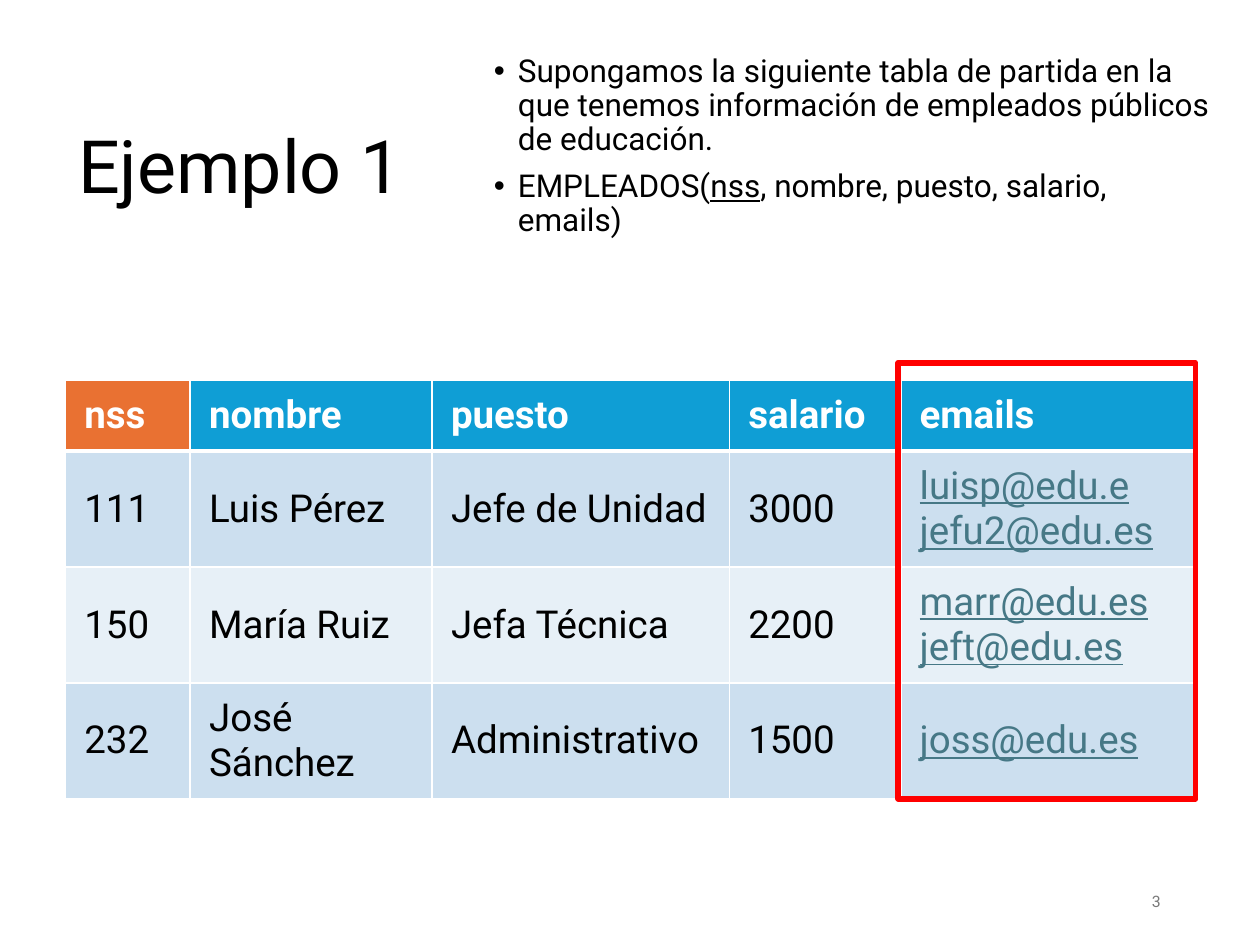
from dataclasses import dataclass

from lxml.etree import SubElement
from pptx import Presentation
from pptx.dml.color import RGBColor
from pptx.enum.shapes import MSO_SHAPE as Shape
from pptx.enum.text import MSO_ANCHOR as Anchor, MSO_AUTO_SIZE as AutoSize, PP_ALIGN as Align
from pptx.oxml.ns import qn
from pptx.util import Inches, Pt

BLACK, WHITE, LINK = "000000", "FFFFFF", "467886"
COLUMN_WIDTHS = (0.99, 1.92, 2.36, 1.36, 2.33)
ROW_HEIGHTS = (0.56, 0.92, 0.92, 0.92)
BAND_FILLS = ("CCDFEF", "E7F0F7")


@dataclass
class Employee:
    nss: str
    name: str
    post: str
    salary: str
    emails: tuple[str, ...]


EMPLOYEES = (
    Employee("111", "Luis Pérez", "Jefe de Unidad", "3000", ("luisp@edu.e", "jefu2@edu.es")),
    Employee("150", "María Ruiz", "Jefa Técnica", "2200", ("marr@edu.es", "jeft@edu.es")),
    Employee("232", "José Sánchez", "Administrativo", "1500", ("joss@edu.es",)),
)


def color(value: str) -> RGBColor:
    """Turn a hex string into a colour."""
    return RGBColor.from_string(value)


def add_text(para, text: str, *, size: float, ink: str = BLACK,
             bold: bool = False, underline: bool = False) -> None:
    """Append a formatted span to a paragraph."""
    span = para.add_run()
    span.text = text
    font = span.font
    font.name, font.size, font.bold, font.underline = "Roboto", Pt(size), bold, underline
    font.color.rgb = color(ink)


def place(box, left: float, top: float, width: float, height: float) -> None:
    """Position a box and centre its text vertically."""
    box.left, box.top = Inches(left), Inches(top)
    box.width, box.height = Inches(width), Inches(height)
    frame = box.text_frame
    frame.word_wrap, frame.auto_size = True, AutoSize.NONE
    frame.vertical_anchor = Anchor.MIDDLE


def add_bullet(para) -> None:
    """Give a paragraph a hanging bullet."""
    props = para._p.get_or_add_pPr()
    props.set("marL", str(Inches(0.19)))
    props.set("indent", str(-Inches(0.19)))
    SubElement(props, qn("a:buFont")).set("typeface", "Arial")
    SubElement(props, qn("a:buChar")).set("char", "•")
    para.line_spacing = 0.9


def fill_cell(cell, lines: tuple[str, ...], fill: str, bottom: float = 1, **style) -> None:
    """Write the lines of a cell and set its borders, margins and fill."""
    cell.margin_left = cell.margin_right = Inches(0.15)
    cell.margin_top = cell.margin_bottom = Inches(0.08)
    cell.vertical_anchor = Anchor.MIDDLE
    frame = cell.text_frame
    for index, line in enumerate(lines):
        para = frame.add_paragraph() if index else frame.paragraphs[0]
        add_text(para, line, size=22, **style)
    props = cell._tc.get_or_add_tcPr()
    for side, width in (("L", 1), ("R", 1), ("T", 1), ("B", bottom)):
        border = SubElement(props, qn(f"a:ln{side}"), w=str(Pt(width)))
        SubElement(SubElement(border, qn("a:solidFill")), qn("a:srgbClr"), val=WHITE)
    cell.fill.solid()
    cell.fill.fore_color.rgb = color(fill)


def add_employee_table(page) -> None:
    """Draw the table of employees."""
    table = page.shapes.add_table(
        len(ROW_HEIGHTS), len(COLUMN_WIDTHS), Inches(0.52), Inches(3.02),
        Inches(sum(COLUMN_WIDTHS)), Inches(sum(ROW_HEIGHTS))).table
    for column, width in zip(table.columns, COLUMN_WIDTHS):
        column.width = Inches(width)
    for row, height in zip(table.rows, ROW_HEIGHTS):
        row.height = Inches(height)
    for index, heading in enumerate(("nss", "nombre", "puesto", "salario", "emails")):
        fill_cell(table.cell(0, index), (heading,), "0F9ED5" if index else "E97132",
                  bottom=3, ink=WHITE, bold=True)
    for number, person in enumerate(EMPLOYEES):
        band = BAND_FILLS[number % 2]
        for index, value in enumerate((person.nss, person.name, person.post, person.salary)):
            fill_cell(table.cell(number + 1, index), (value,), band)
        fill_cell(table.cell(number + 1, 4), person.emails, band, ink=LINK, underline=True)


def main() -> None:
    """Build the slide and save it."""
    deck = Presentation()
    deck.slide_width, deck.slide_height = Inches(10), Inches(7.5)
    page = deck.slides.add_slide(deck.slide_layouts[1])

    title = page.shapes.title
    place(title, 0.52, 0.55, 2.81, 1.6)
    para = title.text_frame.paragraphs[0]
    para.alignment, para.line_spacing = Align.LEFT, 0.9
    add_text(para, "Ejemplo 1", size=42)

    body = page.placeholders[1]
    place(body, 3.82, 0.55, 5.89, 1.6)
    body.text_frame.margin_bottom = Inches(0.42)
    intro = body.text_frame.paragraphs[0]
    add_bullet(intro)
    intro.space_before = Pt(0)
    add_text(intro, "Supongamos la siguiente tabla de partida en la que tenemos "
                    "información de empleados públicos de educación.", size=18)
    schema = body.text_frame.add_paragraph()
    add_bullet(schema)
    schema.space_before = Pt(7.5)
    add_text(schema, "EMPLEADOS(", size=18)
    add_text(schema, "nss", size=18, underline=True)
    add_text(schema, ", nombre, puesto, salario, emails)", size=18)

    number = page.shapes.add_textbox(0, 0, 0, 0)
    place(number, 7.06, 6.95, 2.25, 0.4)
    para = number.text_frame.paragraphs[0]
    para.alignment = Align.RIGHT
    add_text(para, "3", size=9, ink="797979")

    add_employee_table(page)

    highlight = page.shapes.add_shape(
        Shape.RECTANGLE, Inches(7.13), Inches(2.88), Inches(2.36), Inches(3.46))
    highlight.shadow.inherit = False
    highlight.fill.background()
    highlight.line.color.rgb = color("FF0000")
    highlight.line.width = Pt(3.25)

    deck.save("out.pptx")


if __name__ == "__main__":
    main()
